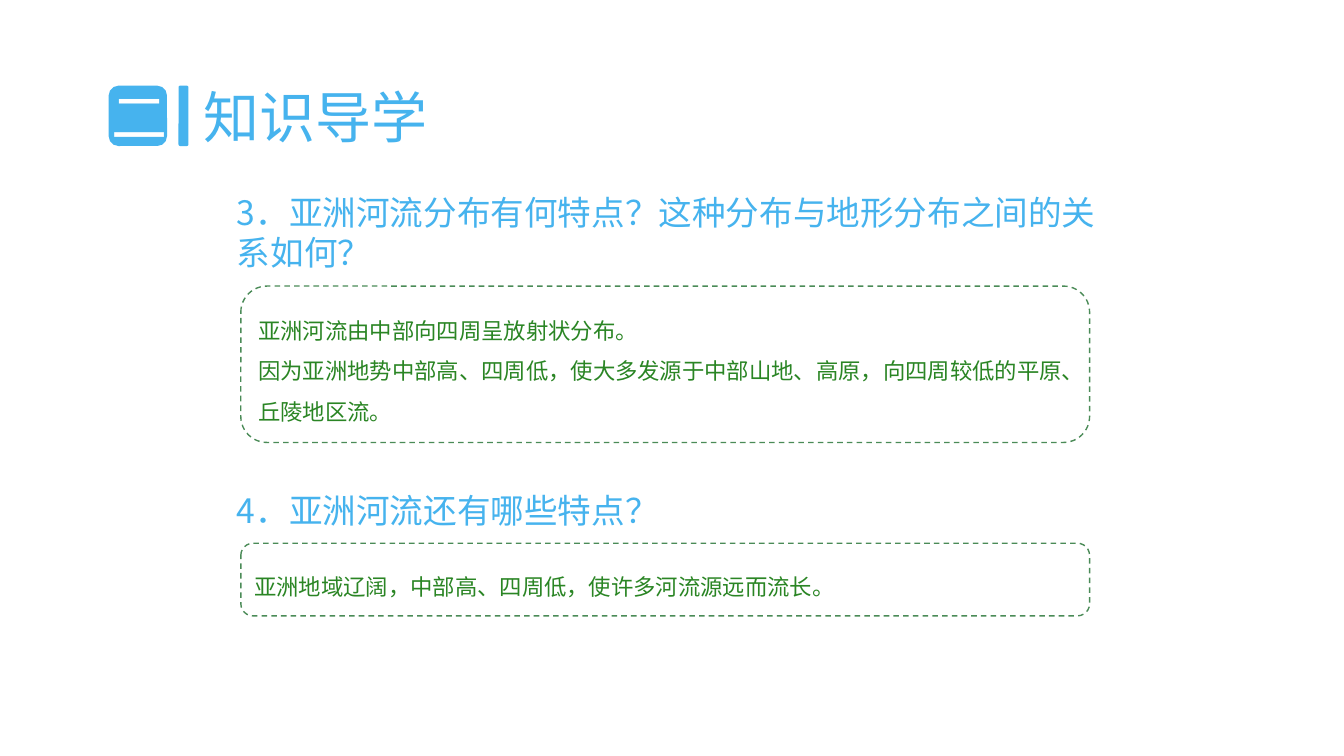
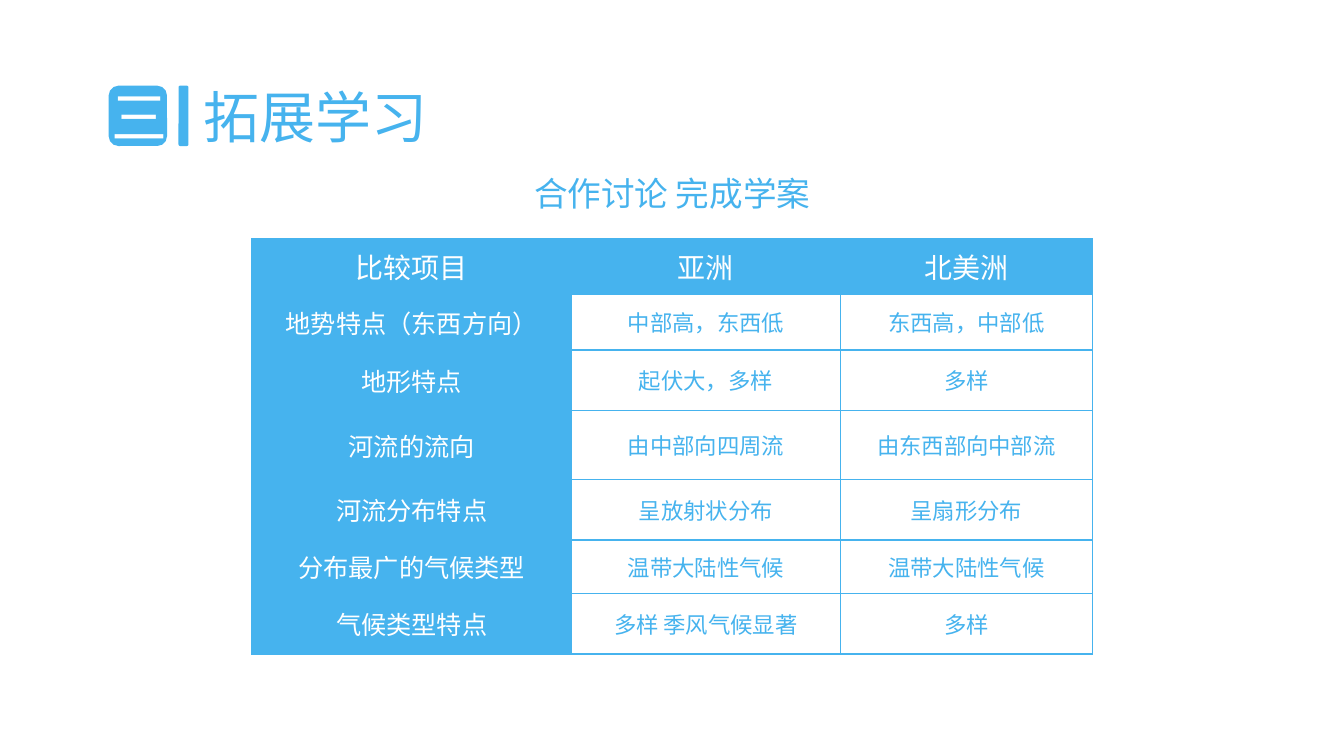
import pptx
import pptx.dml.color
import pptx.enum.dml
import pptx.enum.shapes
import pptx.enum.text
import pptx.oxml.ns
import pptx.util
from lxml import etree

Cm, Pt = pptx.util.Cm, pptx.util.Pt
RGBColor = pptx.dml.color.RGBColor
ALIGN = pptx.enum.text.PP_ALIGN
ANCHOR = pptx.enum.text.MSO_ANCHOR
ROUNDED = pptx.enum.shapes.MSO_SHAPE.ROUNDED_RECTANGLE
qn = pptx.oxml.ns.qn

SKY = RGBColor(0x46, 0xB3, 0xEE)
WHITE = RGBColor(0xFF, 0xFF, 0xFF)
ANSWER_GREEN = RGBColor(0x2A, 0x85, 0x24)
FRAME_GREEN = RGBColor(0x4A, 0x8B, 0x57)
FONT = "Noto Sans CJK SC"

# Content; places are left, top, width, height in centimetres
GUIDE_TITLE = ("二", "知识导学")
QUESTIONS = [
    {
        "question": "3．亚洲河流分布有何特点？这种分布与地形分布之间的关系如何？",
        "question_place": (5.72, 4.7, 22.43, 2.31),
        "answer": [
            "亚洲河流由中部向四周呈放射状分布。",
            "因为亚洲地势中部高、四周低，使大多发源于中部山地、高原，向四周较低的平原、丘陵地区流。",
        ],
        "answer_place": (6.07, 7.21, 21.39, 3.94),
    },
    {
        "question": "4．亚洲河流还有哪些特点？",
        "question_place": (5.72, 12.22, 12.27, 1.27),
        "answer": ["亚洲地域辽阔，中部高、四周低，使许多河流源远而流长。"],
        "answer_place": (6.07, 13.69, 21.39, 1.83),
    },
]

EXTENSION_TITLE = ("三", "拓展学习")
CAPTION = "合作讨论 完成学案"
COMPARISON = [
    ("比较项目", "亚洲", "北美洲"),
    ("地势特点（东西方向）", "中部高，东西低", "东西高，中部低"),
    ("地形特点", "起伏大，多样", "多样"),
    ("河流的流向", "由中部向四周流", "由东西部向中部流"),
    ("河流分布特点", "呈放射状分布", "呈扇形分布"),
    ("分布最广的气候类型", "温带大陆性气候", "温带大陆性气候"),
    ("气候类型特点", "多样 季风气候显著", "多样"),
]
COLUMN_WIDTHS = (8.05, 6.78, 6.35)
ROW_HEIGHTS = (1.4, 1.4, 1.52, 1.75, 1.52, 1.35, 1.52)


def write(frame, lines, size, color, align=ALIGN.LEFT, spacing=None):
    for index, line in enumerate(lines):
        paragraph = frame.paragraphs[0] if index == 0 else frame.add_paragraph()
        paragraph.alignment = align
        if spacing:
            paragraph.line_spacing = spacing
        run = paragraph.add_run()
        run.text = line
        run.font.size = Pt(size)
        run.font.color.rgb = color
        run.font.name = FONT
        east_asian = etree.SubElement(run.font._element, qn("a:ea"))
        east_asian.set("typeface", FONT)


def add_text(slide, place, text, size, color, align=ALIGN.LEFT,
             anchor=ANCHOR.MIDDLE, wrap=True):
    frame = slide.shapes.add_textbox(*map(Cm, place)).text_frame
    frame.word_wrap = wrap
    frame.auto_size = pptx.enum.text.MSO_AUTO_SIZE.SHAPE_TO_FIT_TEXT
    frame.vertical_anchor = anchor
    write(frame, [text], size, color, align)


def add_rounded(slide, place):
    shape = slide.shapes.add_shape(ROUNDED, *map(Cm, place))
    shape.shadow.inherit = False
    return shape


def add_titled_slide(deck, number, title):
    slide = deck.slides.add_slide(deck.slide_layouts[6])
    # Number badge and upright bar
    for left, width in ((2.74, 1.47), (4.5, 0.25)):
        block = add_rounded(slide, (left, 2.16, width, 1.52))
        block.fill.solid()
        block.fill.fore_color.rgb = SKY
        block.line.fill.background()
    add_text(slide, (4.88, 1.96, 6.22, 1.96), title, 40, SKY,
             anchor=ANCHOR.TOP, wrap=False)
    add_text(slide, (2.54, 1.96, 1.93, 1.96), number, 40, WHITE,
             ALIGN.CENTER, ANCHOR.TOP, wrap=False)
    return slide


def add_answer(slide, place, lines):
    box = add_rounded(slide, place)
    box.fill.background()
    box.line.color.rgb = FRAME_GREEN
    box.line.width = Pt(1)
    box.line.dash_style = pptx.enum.dml.MSO_LINE.DASH
    box.text_frame.word_wrap = True
    box.text_frame.vertical_anchor = ANCHOR.MIDDLE
    write(box.text_frame, lines, 16, ANSWER_GREEN, spacing=1.5)


def add_borders(cell):
    properties = cell._tc.get_or_add_tcPr()
    for side in ("a:lnL", "a:lnR", "a:lnT", "a:lnB"):
        border = etree.SubElement(properties, qn(side), w=str(Pt(1)))
        fill = etree.SubElement(border, qn("a:solidFill"))
        etree.SubElement(fill, qn("a:srgbClr"), val=str(SKY))


def add_comparison(slide):
    table = slide.shapes.add_table(
        len(ROW_HEIGHTS), len(COLUMN_WIDTHS), Cm(6.35), Cm(6.02),
        Cm(sum(COLUMN_WIDTHS)), Cm(sum(ROW_HEIGHTS))).table
    table.first_row = table.horz_banding = False
    for column, width in zip(table.columns, COLUMN_WIDTHS):
        column.width = Cm(width)
    for row, height in zip(table.rows, ROW_HEIGHTS):
        row.height = Cm(height)

    for r, texts in enumerate(COMPARISON):
        for c, text in enumerate(texts):
            cell = table.cell(r, c)
            cell.margin_left = cell.margin_right = 0
            cell.margin_top = cell.margin_bottom = 0
            cell.vertical_anchor = ANCHOR.MIDDLE
            add_borders(cell)
            is_heading = r == 0 or c == 0
            if is_heading:
                cell.fill.solid()
                cell.fill.fore_color.rgb = SKY
            else:
                cell.fill.background()
            size = 20 if r == 0 else 18 if c == 0 else 16
            write(cell.text_frame, [text], size,
                  WHITE if is_heading else SKY, ALIGN.CENTER)


def main():
    deck = pptx.Presentation()
    deck.slide_width, deck.slide_height = Cm(33.87), Cm(19.05)

    # Questions with framed answers
    guide = add_titled_slide(deck, *GUIDE_TITLE)
    for item in QUESTIONS:
        add_text(guide, item["question_place"], item["question"], 24, SKY)
        add_answer(guide, item["answer_place"], item["answer"])

    # Comparison of the two continents
    extension = add_titled_slide(deck, *EXTENSION_TITLE)
    add_comparison(extension)
    add_text(extension, (9.32, 4.24, 15.24, 1.27), CAPTION, 24, SKY, ALIGN.CENTER)

    deck.save("out.pptx")


if __name__ == "__main__":
    main()
